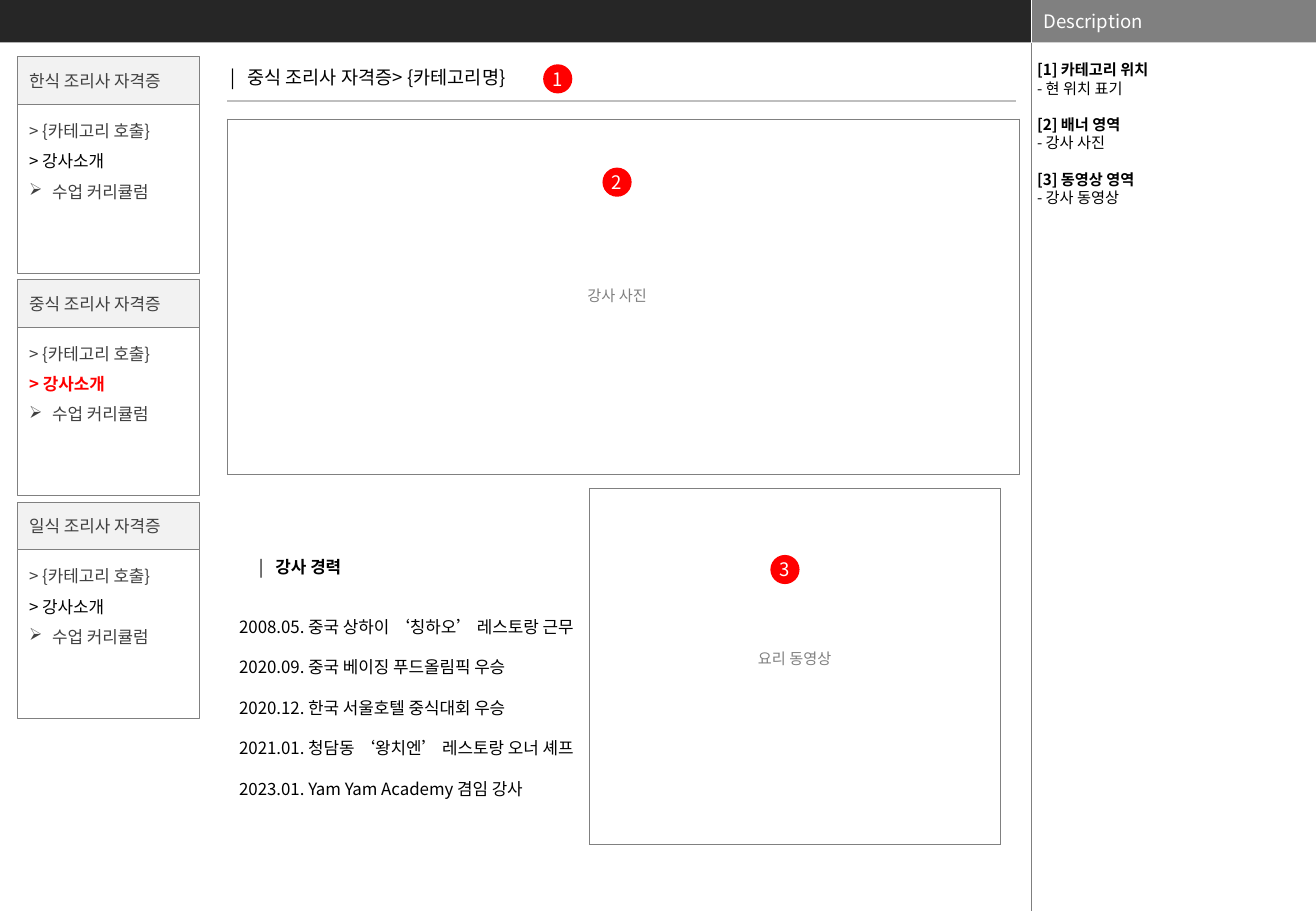
from lxml import etree
from pptx import Presentation
from pptx.dml.color import RGBColor
from pptx.enum.shapes import MSO_CONNECTOR, MSO_SHAPE as Shape
from pptx.enum.text import MSO_ANCHOR as Anchor, PP_ALIGN as Align
from pptx.oxml.ns import qn
from pptx.util import Cm, Pt

FONT = "Noto Sans CJK KR"
BLACK, WHITE, RED = "000000", "FFFFFF", "FF0000"
DARK, GRAY, PALE = "404040", "808080", "F2F2F2"
WIDTH, HEIGHT, BAR = 27.51, 19.05, 0.89
PANEL_LEFT = 21.56

CATEGORIES = ["한식 조리사 자격증", "중식 조리사 자격증", "일식 조리사 자격증"]
CURRENT = "중식 조리사 자격증"
CAREER = [
    "2008.05. 중국 상하이 ‘칭하오’ 레스토랑 근무",
    "2020.09. 중국 베이징 푸드올림픽 우승",
    "2020.12. 한국 서울호텔 중식대회 우승",
    "2021.01. 청담동 ‘왕치엔’ 레스토랑 오너 셰프",
    "2023.01. Yam Yam Academy 겸임 강사",
]
NOTES = [
    ("[1] 카테고리 위치", "- 현 위치 표기"),
    ("[2] 배너 영역", "- 강사 사진"),
    ("[3] 동영상 영역", "- 강사 동영상"),
]


def rgb(color):
    return RGBColor.from_string(color)


def box_cm(*lengths):
    return [Cm(length) for length in lengths]


def style(paragraph, size, color, bold=False, align=Align.LEFT, spacing=None):
    paragraph.alignment = align
    if spacing:
        paragraph.line_spacing = spacing
    font = paragraph.font
    font.size, font.bold, font.name = Pt(size), bold, FONT
    font.color.rgb = rgb(color)
    # East Asian typeface for the Korean text
    etree.SubElement(paragraph._p.pPr.find(qn("a:defRPr")), qn("a:ea"), typeface=FONT)


def add_lines(frame, lines):
    """Write (text, style options) pairs and return the paragraphs."""
    for index, (text, options) in enumerate(lines):
        paragraph = frame.add_paragraph() if index else frame.paragraphs[0]
        paragraph.add_run().text = text
        style(paragraph, **options)
    return frame.paragraphs


def set_frame(frame, anchor=Anchor.TOP, margins=None, wrap=True):
    frame.word_wrap, frame.vertical_anchor = wrap, anchor
    if margins:
        (frame.margin_left, frame.margin_top,
         frame.margin_right, frame.margin_bottom) = box_cm(*margins)
    return frame


def add_text(slide, box, **options):
    return set_frame(slide.shapes.add_textbox(*box_cm(*box)).text_frame, **options)


def add_block(slide, kind, box, fill=None, line=None):
    block = slide.shapes.add_shape(kind, *box_cm(*box))
    block.shadow.inherit = False
    if fill:
        block.fill.solid()
        block.fill.fore_color.rgb = rgb(fill)
    else:
        block.fill.background()
    if line:
        block.line.color.rgb, block.line.width = rgb(line), Pt(0.5)
    else:
        block.line.fill.background()
    return block


def add_rule(slide, start, end, color, width):
    rule = slide.shapes.add_connector(MSO_CONNECTOR.STRAIGHT, *box_cm(*start, *end))
    rule.line.color.rgb, rule.line.width = rgb(color), Pt(width)
    etree.SubElement(rule._element.spPr, qn("a:effectLst"))


def add_tab(paragraph, position):
    tabs = etree.SubElement(paragraph._p.get_or_add_pPr(), qn("a:tabLst"))
    etree.SubElement(tabs, qn("a:tab"), pos=str(Cm(position)), algn="l")


def add_badge(slide, number, center_x, center_y, size=0.61):
    badge = add_block(slide, Shape.OVAL,
                      (center_x - size / 2, center_y - size / 2, size, size), RED)
    frame = set_frame(badge.text_frame, Anchor.MIDDLE, (0, 0, 0, 0), wrap=False)
    add_lines(frame, [(str(number), dict(size=11, color=WHITE, align=Align.CENTER))])


def add_header(slide):
    add_block(slide, Shape.RECTANGLE, (0, 0, PANEL_LEFT, BAR), "262626")
    add_block(slide, Shape.RECTANGLE, (PANEL_LEFT, 0, WIDTH - PANEL_LEFT, BAR), GRAY)
    add_rule(slide, (PANEL_LEFT, 0), (PANEL_LEFT, BAR), WHITE, 0.25)
    add_rule(slide, (PANEL_LEFT, BAR), (PANEL_LEFT, HEIGHT), "7F7F7F", 0.25)


def add_description(slide, left, width):
    heading = add_text(slide, (left, 0, width, BAR), anchor=Anchor.MIDDLE)
    add_lines(heading, [("Description", dict(size=11, color=WHITE))])
    notes = add_text(slide, (left + 0.02, BAR, width, HEIGHT - BAR),
                     margins=(0.1, 0.38, 0.1, 0))
    lines = [(text, dict(size=9, color=BLACK, bold=is_heading))
             for heading_text, detail in NOTES
             for text, is_heading in ((heading_text, True), (detail, False))]
    for paragraph in add_lines(notes, lines)[2::2]:
        paragraph.space_before = Pt(10.8)


def add_category(slide, name, left, top, width=3.81, head=0.99, body=3.53):
    current = name == CURRENT
    # Menu below the heading
    menu = add_block(slide, Shape.ROUNDED_RECTANGLE, (left, top + head, width, body), line=GRAY)
    title = add_block(slide, Shape.ROUNDED_RECTANGLE, (left, top, width, head), PALE, GRAY)
    menu.adjustments[0] = title.adjustments[0] = 0
    frame = set_frame(menu.text_frame)
    curriculum = frame.paragraphs[0] if not frame.text else None
    add_lines(frame, [
        ("> {카테고리 호출}", dict(size=10, color=DARK, spacing=1.5)),
        ("> 강사소개", dict(size=10, color=RED if current else BLACK,
                        bold=current, spacing=1.5)),
    ])
    curriculum = frame.add_paragraph()
    curriculum.add_run().text = "수업 커리큘럼"
    curriculum.line_spacing = 1.5
    properties = curriculum._p.get_or_add_pPr()
    properties.set("marL", str(Cm(0.48)))
    properties.set("indent", str(-Cm(0.48)))
    etree.SubElement(properties, qn("a:buChar"), char="➢")
    style(curriculum, 10, DARK)
    # Heading
    add_lines(set_frame(title.text_frame, Anchor.MIDDLE), [(name, dict(size=10, color=DARK))])


def add_breadcrumb(slide, left, top):
    title = slide.shapes.title
    title.left, title.top, title.width, title.height = box_cm(left, top, 7.92, 0.74)
    frame = set_frame(title.text_frame, margins=(0.25, 0.13, 0.25, 0.13))
    add_tab(frame.paragraphs[0], 0.35)
    add_lines(frame, [("|\t중식 조리사 자격증> {카테고리명}", dict(size=11, color=BLACK))])
    add_rule(slide, (left + 0.18, top + 0.87), (21.23, top + 0.87), "BFBFBF", 0.75)


def add_media_area(slide, caption, box, caption_center, caption_top):
    table = slide.shapes.add_table(1, 1, *box_cm(*box)).table
    table.first_row = table.horz_banding = False
    cell = table.cell(0, 0)
    properties = cell._tc.get_or_add_tcPr()
    for side in ("lnL", "lnR", "lnT", "lnB"):
        border = etree.SubElement(properties, qn(f"a:{side}"), w=str(Pt(0.5)))
        fill = etree.SubElement(border, qn("a:solidFill"))
        etree.SubElement(fill, qn("a:srgbClr"), val=GRAY)
    cell.fill.background()
    # Caption
    label = add_block(slide, Shape.RECTANGLE,
                      (caption_center - 1.17, caption_top, 2.34, 0.64), WHITE)
    add_lines(set_frame(label.text_frame),
              [(caption, dict(size=9, color=GRAY, align=Align.CENTER))])


def add_career(slide, left, top):
    heading = add_text(slide, (left + 0.41, top, 6.8, 0.97)).paragraphs[0]
    heading.line_spacing = 2
    add_tab(heading, 0.35)
    heading.add_run().text = "|\t"
    name = heading.add_run()
    name.text, name.font.bold = "강사 경력", True
    style(heading, 10, BLACK)
    history = add_text(slide, (left, top + 1.24, 7.92, 4.39))
    add_lines(history, [(entry, dict(size=10, color=BLACK, spacing=2)) for entry in CAREER])


def main():
    deck = Presentation()
    deck.slide_width, deck.slide_height = box_cm(WIDTH, HEIGHT)
    slide = deck.slides.add_slide(deck.slide_layouts[5])
    add_header(slide)
    add_description(slide, PANEL_LEFT, WIDTH - PANEL_LEFT)
    for index, name in enumerate(CATEGORIES):
        add_category(slide, name, 0.36, 1.19 + index * 4.66)
    add_breadcrumb(slide, 4.57, 1.24)
    add_media_area(slide, "강사 사진", (4.75, 2.49, 16.56, 7.44), 12.9, 5.87)
    add_career(slide, 4.75, 11.1)
    add_media_area(slide, "요리 동영상", (12.32, 10.21, 8.59, 7.44), 16.61, 13.46)
    # Numbered markers
    for number, center in enumerate([(11.66, 1.65), (12.9, 3.81), (16.41, 11.91)], 1):
        add_badge(slide, number, *center)
    deck.save("out.pptx")


if __name__ == "__main__":
    main()
